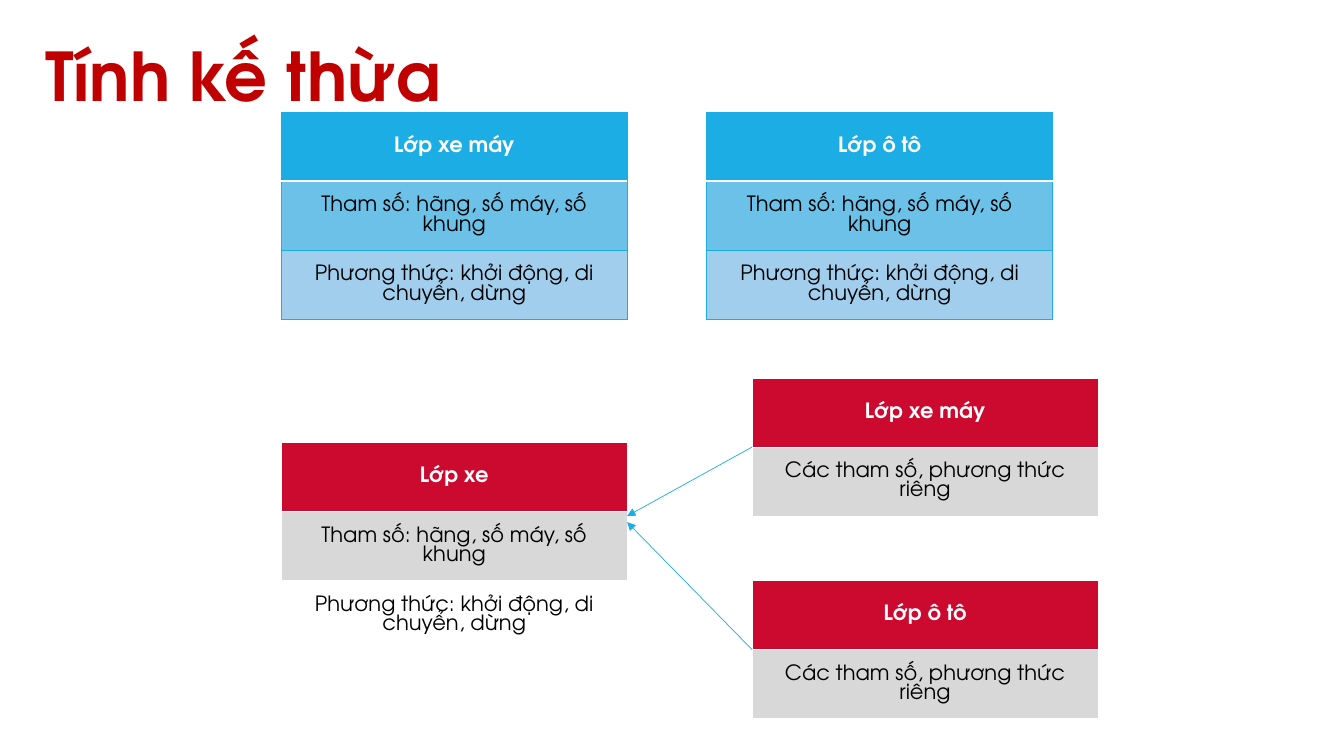
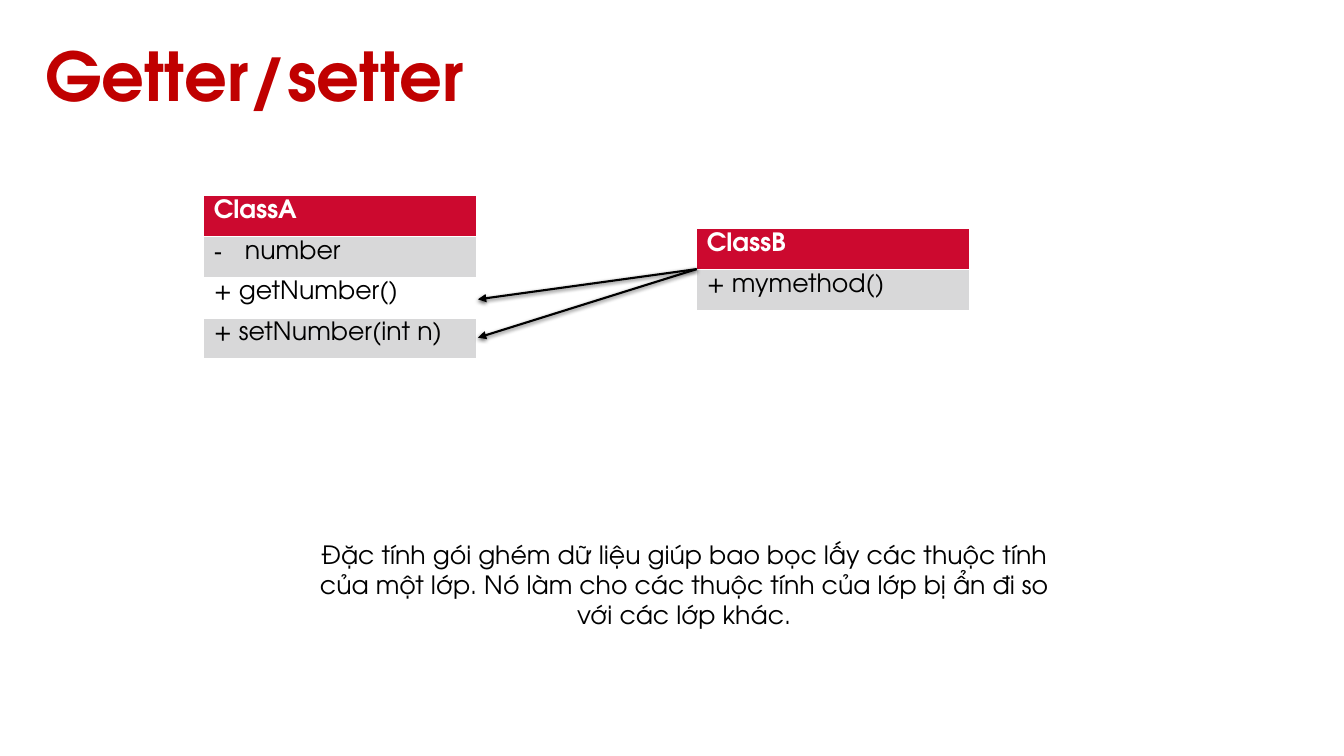
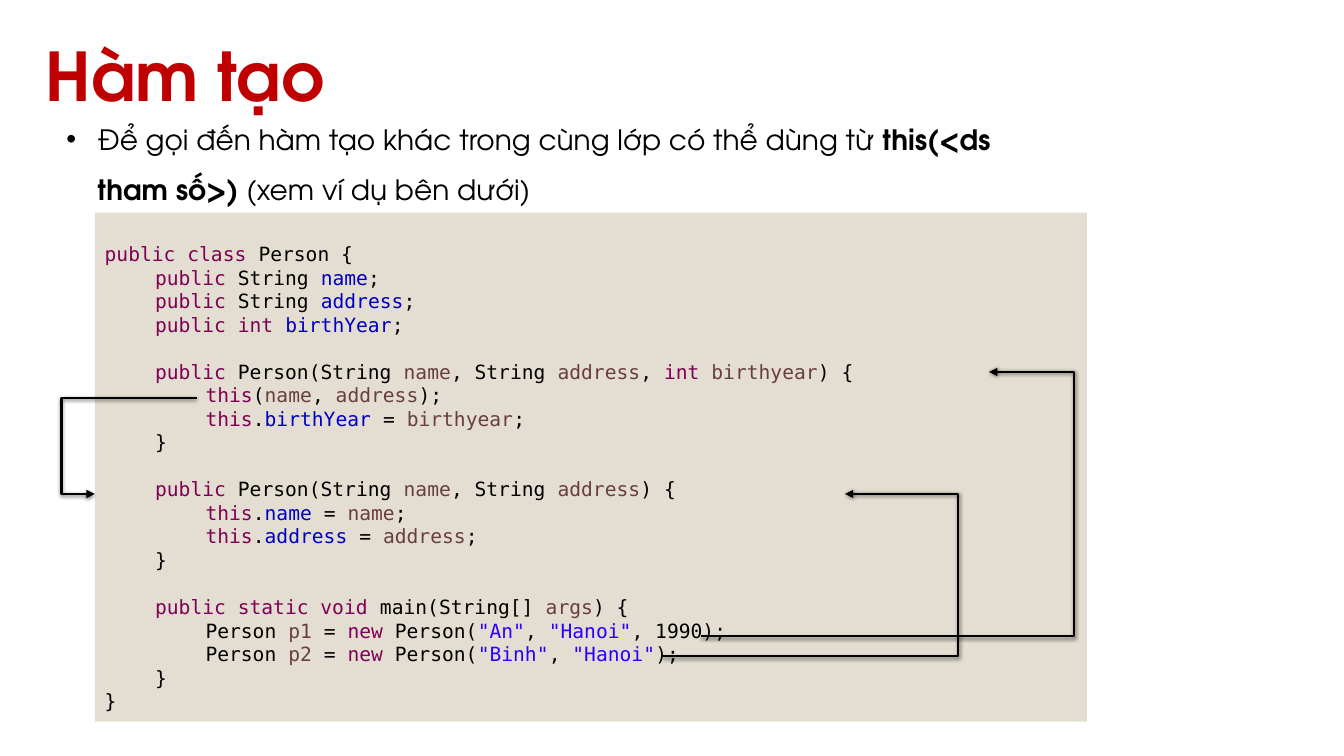
from lxml.etree import SubElement
from pptx import Presentation
from pptx.dml.color import RGBColor
from pptx.enum.shapes import MSO_CONNECTOR, MSO_SHAPE
from pptx.enum.text import MSO_ANCHOR, PP_ALIGN
from pptx.oxml.ns import qn
from pptx.util import Inches, Pt

BLACK = RGBColor(0x00, 0x00, 0x00)
WHITE = RGBColor(0xFF, 0xFF, 0xFF)
TITLE = RGBColor(0xC0, 0x00, 0x00)
RED = RGBColor(0xCC, 0x09, 0x2F)
GREY = RGBColor(0xD8, 0xD8, 0xD9)
BLUE = RGBColor(0x1C, 0xAD, 0xE4)
MID_BLUE = RGBColor(0x6C, 0xC1, 0xE9)
PALE_BLUE = RGBColor(0xA1, 0xCE, 0xED)
SAND = RGBColor(0xE3, 0xDE, 0xD1)
KEYWORD = RGBColor(0x7F, 0x00, 0x55)
FIELD = RGBColor(0x00, 0x00, 0xC0)
PARAM = RGBColor(0x6A, 0x3E, 0x3E)
STRING = RGBColor(0x2A, 0x00, 0xFF)

FONT = "TeX Gyre Adventor"
MONO = "DejaVu Sans Mono"
RED_FILLS = (RED, GREY, None, GREY)
BLUE_FILLS = (BLUE, MID_BLUE, PALE_BLUE)

FIELDS = "Tham số: hãng, số máy, số khung"
METHODS = "Phương thức: khởi động, di chuyển, dừng"
OWN = "Các tham số, phương thức riêng"

# Code lines: (indent level, text). A line starting with "^" has a gap above.
# Parts are split by "|"; the first sign of a part tells its colour.
MARKS = {"@": KEYWORD, "$": FIELD, "%": PARAM, '"': STRING}
CODE = (
    (0, "@public class| Person {"),
    (1, "@public| String |$name|;"),
    (1, "@public| String |$address|;"),
    (1, "@public int |$birthYear|;"),
    (1, "^@public| Person(String |%name|, String |%address|, |@int |%birthyear|) {"),
    (2, "@this|(|%name|, |%address|);"),
    (2, "@this|.|$birthYear| = |%birthyear|;"),
    (1, "}"),
    (1, "^@public| Person(String |%name|, String |%address|) {"),
    (2, "@this|.|$name| = |%name|;"),
    (2, "@this|.|$address| = |%address|;"),
    (1, "}"),
    (1, "^@public static void| main(String[] |%args|) {"),
    (2, 'Person |%p1| = |@new| Person(|"An"|, |"Hanoi"|, 1990);'),
    (2, 'Person |%p2| = |@new| Person(|"Binh"|, |"Hanoi"|);'),
    (1, "}"),
    (0, "}"),
)


def style(run, size, color=BLACK, bold=False, name=FONT):
    font = run.font
    font.size, font.bold, font.name = Pt(size), bold, name
    font.color.rgb = color


def bullet(para, char):
    """Give the paragraph a bullet with a hanging indent."""
    props = para._p.get_or_add_pPr()
    props.set("marL", str(Inches(0.31)))
    props.set("indent", str(Inches(-0.31)))
    SubElement(props, qn("a:buFont")).set("typeface", "Arial")
    SubElement(props, qn("a:buChar")).set("char", char)


def add_text(slide, box):
    shape = slide.shapes.add_textbox(*map(Inches, box))
    shape.text_frame.word_wrap = True
    return shape.text_frame


def add_title(slide, text):
    frame = add_text(slide, (0.45, 0.6, 12.43, 0.4))
    frame.margin_left = frame.margin_right = 0
    frame.margin_top = frame.margin_bottom = 0
    frame.vertical_anchor = MSO_ANCHOR.MIDDLE
    frame.text = text
    para = frame.paragraphs[0]
    para.line_spacing = 0.85
    style(para.runs[0], 48, TITLE, True)


def add_edge(cell, side, color, width):
    line = SubElement(cell._tc.get_or_add_tcPr(), qn("a:ln" + side))
    line.set("w", str(Pt(width)))
    fill = SubElement(line, qn("a:solidFill"))
    SubElement(fill, qn("a:srgbClr")).set("val", str(color))


def add_class(slide, left, top, width, height, rows, size,
              fills=RED_FILLS, edge=(WHITE, 0.75), center=False):
    """Draw a class as a one-column table with rows of equal height."""
    table = slide.shapes.add_table(
        len(rows), 1, *map(Inches, (left, top, width, height))).table
    table.first_row = table.horz_banding = False
    for i, (text, fill) in enumerate(zip(rows, fills)):
        table.rows[i].height = Inches(height / len(rows))
        cell = table.cell(i, 0)
        cell.margin_top = cell.margin_bottom = Inches(0.04)
        for side in "LRTB":
            rule = edge
            if edge[0] == BLUE and (i, side) in ((0, "B"), (1, "T")):
                rule = (WHITE, 1)
            add_edge(cell, side, *rule)
        if fill is None:
            cell.fill.background()
        else:
            cell.fill.solid()
            cell.fill.fore_color.rgb = fill
        para = cell.text_frame.paragraphs[0]
        if text.startswith("- "):
            text = text[2:]
            bullet(para, "-")
        para.text = text
        if center:
            para.alignment = PP_ALIGN.CENTER
            cell.vertical_anchor = MSO_ANCHOR.MIDDLE
        style(para.runs[0], size, BLACK if i else WHITE, i == 0)


def add_arrow(slide, start, end, color=BLACK, width=1.5, shadow=True, via=None):
    """Draw an arrow; via is the x where an elbow arrow turns."""
    kind = MSO_CONNECTOR.STRAIGHT if via is None else MSO_CONNECTOR.ELBOW
    arrow = slide.shapes.add_connector(kind, *map(Inches, start + end))
    arrow.line.color.rgb = color
    arrow.line.width = Pt(width)
    props = arrow._element.spPr
    SubElement(arrow.line._ln, qn("a:tailEnd")).set("type", "triangle")
    if via is not None:
        bend = (via - start[0]) / (end[0] - start[0])
        guide = SubElement(props.find(".//" + qn("a:avLst")), qn("a:gd"))
        guide.set("name", "adj1")
        guide.set("fmla", f"val {round(bend * 100000)}")
    effects = SubElement(props, qn("a:effectLst"))
    if shadow:
        cast = SubElement(effects, qn("a:outerShdw"), blurRad=str(Pt(3)),
                          dist=str(Pt(1)), dir="5400000", rotWithShape="0")
        tint = SubElement(cast, qn("a:srgbClr"), val=str(BLACK))
        SubElement(tint, qn("a:alpha"), val="63000")


def add_code(slide, box):
    panel = slide.shapes.add_shape(MSO_SHAPE.RECTANGLE, *map(Inches, box))
    panel.shadow.inherit = False
    panel.fill.solid()
    panel.fill.fore_color.rgb = SAND
    panel.line.fill.background()
    frame = panel.text_frame
    frame.word_wrap = True
    frame.vertical_anchor = MSO_ANCHOR.TOP
    frame.margin_top = Inches(0.29)
    for i, (level, text) in enumerate(CODE):
        para = frame.add_paragraph() if i else frame.paragraphs[0]
        para.alignment = PP_ALIGN.LEFT
        para.level = level
        para._p.get_or_add_pPr().set("marL", str(Inches(0.5 * level)))
        if text.startswith("^"):
            para.space_before = Pt(16.8)
        for part in text.lstrip("^").split("|"):
            run = para.add_run()
            run.text = part.lstrip("@$%")
            style(run, 14, MARKS.get(part[0], BLACK), name=MONO)


def inherit_slide(slide):
    add_title(slide, "Tính kế thừa")
    wide, tall, short = 3.43, 2.06, 1.37
    left, right = 2.79, 7.46
    for x, name in ((left, "Lớp xe máy"), (7.01, "Lớp ô tô")):
        add_class(slide, x, 1.11, wide, tall, (name, FIELDS, METHODS), 15,
                  BLUE_FILLS, (BLUE, 0.5), True)
    add_class(slide, left, 4.39, wide, tall, ("Lớp xe", FIELDS, METHODS), 15,
              center=True)
    for y, name, tip in ((3.75, "Lớp xe máy", 5.12), (5.76, "Lớp ô tô", 5.18)):
        add_class(slide, right, y, wide, short, (name, OWN), 15, center=True)
        add_arrow(slide, (right, y + short / 2), (left + wide, tip),
                  BLUE, 0.5, False)


def getter_slide(slide):
    add_title(slide, "Getter/setter")
    wide = 2.71
    add_class(slide, 2.02, 1.94, wide, 1.62,
              ("ClassA", "- number", "+ getNumber()", "+ setNumber(int n)"), 18)
    add_class(slide, 6.91, 2.27, wide, 0.81, ("ClassB", "+ mymethod()"), 18)
    for tip in (2.97, 3.35):
        add_arrow(slide, (6.91, 2.67), (4.74, tip))
    frame = add_text(slide, (2.99, 5.3, 7.59, 0.71))
    frame.text = ("Đặc tính gói ghém dữ liệu giúp bao bọc lấy các thuộc tính "
                  "của một lớp. Nó làm cho các thuộc tính của lớp bị ẩn đi so "
                  "với các lớp khác.")
    para = frame.paragraphs[0]
    para.alignment = PP_ALIGN.CENTER
    style(para.runs[0], 18)


def builder_slide(slide):
    add_title(slide, "Hàm tạo")
    para = add_text(slide, (0.56, 1, 9.69, 1.11)).paragraphs[0]
    para.line_spacing = 1.5
    bullet(para, "•")
    for text, bold in (
            ("Để gọi đến hàm tạo khác trong cùng lớp có thể dùng từ ", False),
            ("this(<ds tham số>)", True),
            (" (xem ví dụ bên dưới)", False)):
        run = para.add_run()
        run.text = text
        style(run, 20, bold=bold)
    add_code(slide, (0.94, 2.11, 9.84, 5.05))
    for start, end, via in (((6.95, 6.31), (9.81, 3.69), 10.65),
                            ((6.57, 6.51), (8.38, 4.9), 9.5),
                            ((1.95, 3.95), (0.94, 4.9), 0.61)):
        add_arrow(slide, start, end, via=via)


def main():
    deck = Presentation()
    deck.slide_width, deck.slide_height = Inches(13.33), Inches(7.5)
    for build in (inherit_slide, getter_slide, builder_slide):
        build(deck.slides.add_slide(deck.slide_layouts[6]))
    deck.save("out.pptx")


if __name__ == "__main__":
    main()
